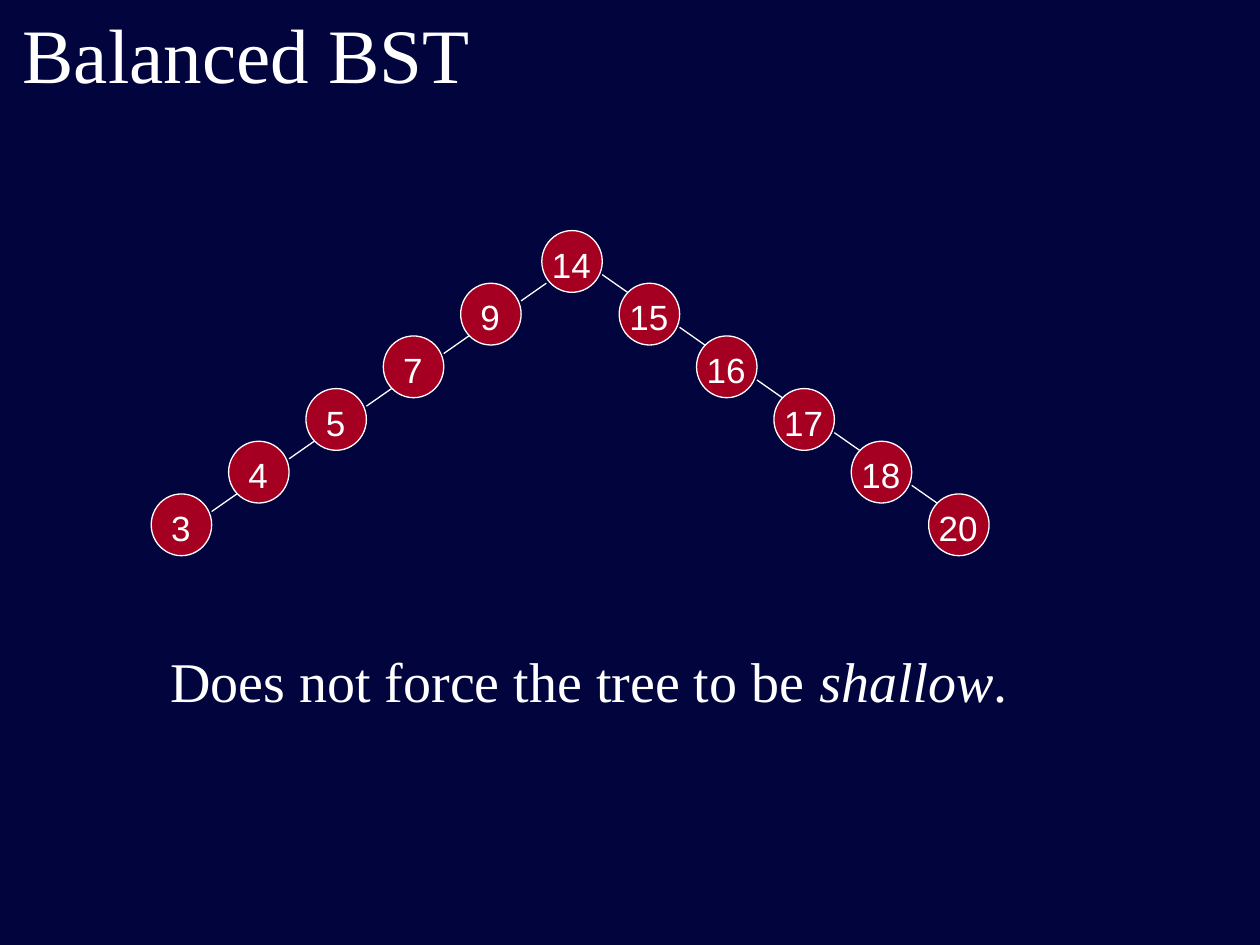
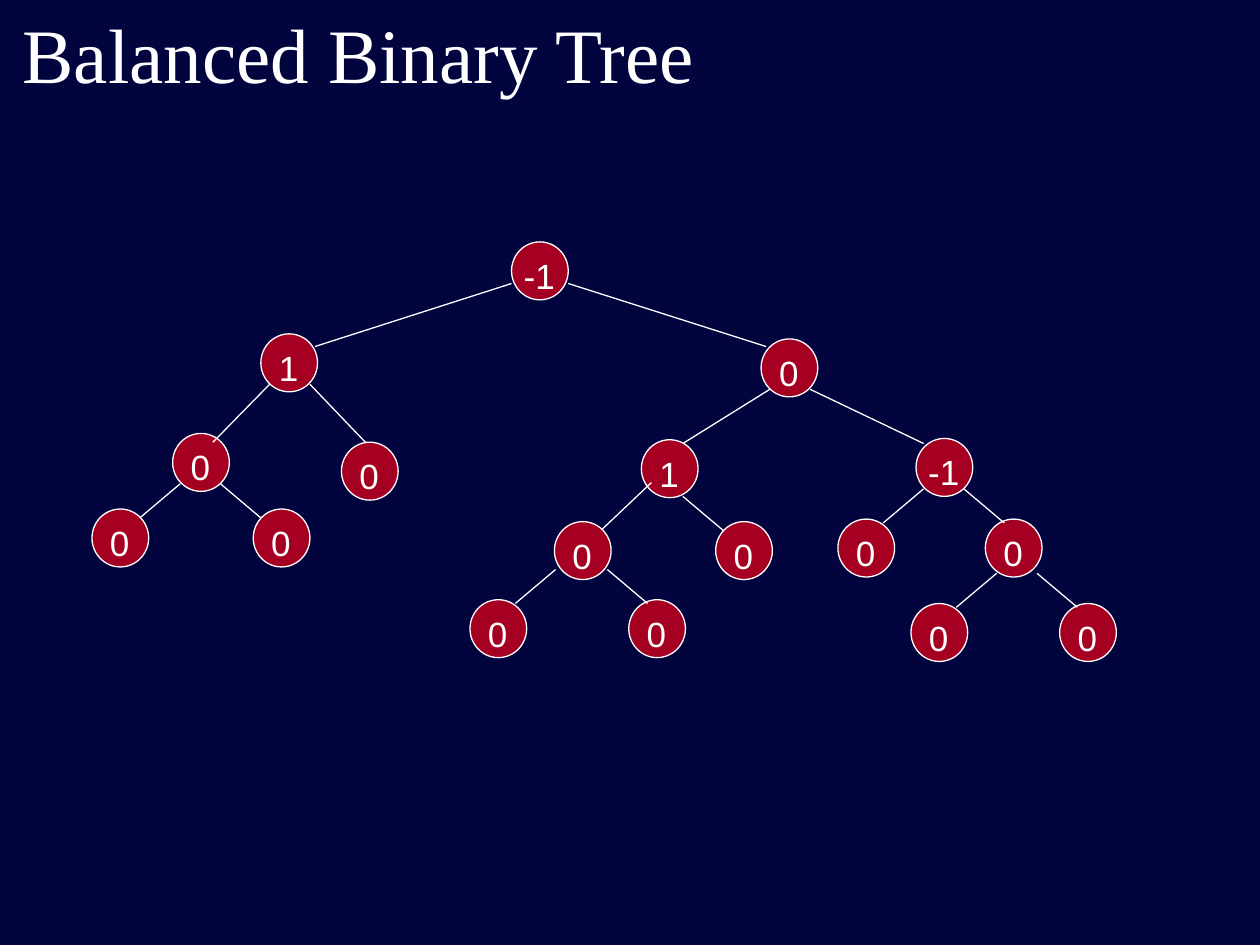
from dataclasses import dataclass
from itertools import chain

from lxml import etree
from pptx import Presentation
from pptx.dml.color import RGBColor
from pptx.enum.shapes import MSO_CONNECTOR, MSO_SHAPE
from pptx.enum.text import MSO_ANCHOR, MSO_AUTO_SIZE, PP_ALIGN
from pptx.oxml.ns import qn
from pptx.util import Inches, Pt


@dataclass(frozen=True)
class Theme:
    background: RGBColor = RGBColor(0x01, 0x04, 0x3D)
    node: RGBColor = RGBColor(0xA5, 0x00, 0x21)
    ink: RGBColor = RGBColor(0xFF, 0xFF, 0xFF)
    text_font: str = "Times New Roman"
    node_font: str = "Arial"
    title_size: int = 44
    body_size: int = 32
    node_size: int = 20
    line_width: float = 0.75


THEME = Theme()
TITLE_BOX = (0.08, -0.08, 9, 1)
REMARK_BOX = (1.25, 5.08, 9, 0.83)

# Chain slide: values from the root outwards on either side
CHAIN_BOX = (1.2, 1.83, 6.65, 2.58)
CHAIN_ROOT = "14"
LEFT_CHAIN = ("9", "7", "5", "4", "3")
RIGHT_CHAIN = ("15", "16", "17", "18", "20")

# Balance slide: value, left and top of each node, relative to the tree box
TREE_BOX = (0.73, 1.92, 8.13, 3.33)
BALANCE_NODES = (
    ("-1", 3.33, 0),
    ("1", 1.34, 0.73), ("0", 5.31, 0.77),
    ("0", 0.64, 1.52), ("0", 1.98, 1.59), ("1", 4.36, 1.57), ("-1", 6.54, 1.56),
    ("0", 0, 2.12), ("0", 1.28, 2.12), ("0", 3.67, 2.22), ("0", 4.95, 2.22),
    ("0", 5.92, 2.2), ("0", 7.09, 2.2),
    ("0", 3, 2.84), ("0", 4.26, 2.84), ("0", 6.5, 2.87), ("0", 7.68, 2.87),
)
# Long edges: start x, start y, end x, end y
LONG_EDGES = (
    (3.33, 0.33, 1.77, 0.83), (3.78, 0.33, 5.35, 0.83),
    (1.41, 1.13, 0.96, 1.59), (1.73, 1.13, 2.17, 1.59),
    (5.38, 1.17, 4.69, 1.6), (5.7, 1.17, 6.6, 1.6),
    (4.44, 1.91, 4.05, 2.28),
)
# Short edges all share one run and drop: start x, start y, direction
SHORT_RUN, SHORT_DROP = 0.32, 0.27
SHORT_EDGES = (
    (0.7, 1.92, -1), (1.02, 1.92, 1), (4.69, 2.02, 1),
    (6.6, 1.96, -1), (6.92, 1.96, 1),
    (3.68, 2.6, -1), (4.09, 2.6, 1),
    (7.18, 2.63, -1), (7.5, 2.63, 1),
)


def place(shape, box):
    shape.left, shape.top, shape.width, shape.height = map(Inches, box)


def style_font(font, name, size):
    font.name = name
    font.size = Pt(size)
    font.color.rgb = THEME.ink


def style_line(line):
    line.color.rgb = THEME.ink
    line.width = Pt(THEME.line_width)


def add_page(deck, layout_index, title):
    """Start a slide with the shared title style."""
    page = deck.slides.add_slide(deck.slide_layouts[layout_index])
    place(page.shapes.title, TITLE_BOX)
    frame = page.shapes.title.text_frame
    frame.text = title
    frame.auto_size = MSO_AUTO_SIZE.NONE
    frame.vertical_anchor = MSO_ANCHOR.MIDDLE
    para = frame.paragraphs[0]
    para.alignment = PP_ALIGN.LEFT
    style_font(para.runs[0].font, THEME.text_font, THEME.title_size)
    return page


def add_remark(page, box, pieces):
    """Fill the body placeholder; pieces are (text, italic) pairs."""
    body = page.placeholders[1]
    place(body, box)
    frame = body.text_frame
    frame.auto_size = MSO_AUTO_SIZE.NONE
    para = frame.paragraphs[0]
    properties = para._p.get_or_add_pPr()
    properties.set("marL", str(Inches(0.38)))
    properties.set("indent", str(Inches(-0.38)))
    etree.SubElement(properties, qn("a:buNone"))
    para.space_before = Pt(0)
    for text, italic in pieces:
        span = para.add_run()
        span.text = text
        style_font(span.font, THEME.text_font, THEME.body_size)
        span.font.italic = italic


def add_node(shapes, value, left, top, width, height):
    """Draw a tree node: a disc with its centred label."""
    disc = shapes.add_shape(MSO_SHAPE.OVAL, *map(Inches, (left, top, width, height)))
    disc.shadow.inherit = False
    disc.fill.solid()
    disc.fill.fore_color.rgb = THEME.node
    style_line(disc.line)

    label_box = (left - 0.07, top + 0.05, width + 0.13, 0.44)
    label = shapes.add_textbox(*map(Inches, label_box))
    frame = label.text_frame
    frame.word_wrap = True
    frame.text = value
    para = frame.paragraphs[0]
    para.alignment = PP_ALIGN.CENTER
    style_font(para.runs[0].font, THEME.node_font, THEME.node_size)


def add_edge(shapes, *ends):
    edge = shapes.add_connector(MSO_CONNECTOR.STRAIGHT, *map(Inches, ends))
    style_line(edge.line)
    etree.SubElement(edge._element.spPr, qn("a:effectLst"))


def add_chain_tree(page, box):
    """Draw the root with one straight chain of nodes on each side."""
    left, top, width, height = box
    node_width, node_height = 0.48, 0.49
    depth = len(RIGHT_CHAIN)
    root_left = left + 3.1
    step_x = (left + width - node_width - root_left) / depth
    step_y = (height - node_height) / depth
    shapes = page.shapes.add_group_shape().shapes

    # Nodes
    add_node(shapes, CHAIN_ROOT, root_left, top, node_width, node_height)
    for level, (smaller, larger) in enumerate(zip(LEFT_CHAIN, RIGHT_CHAIN), 1):
        node_top = top + level * step_y
        smaller_left = left + (depth - level) * step_x
        larger_left = root_left + level * step_x
        add_node(shapes, smaller, smaller_left, node_top, node_width, node_height)
        add_node(shapes, larger, larger_left, node_top, node_width, node_height)

        # Edges towards the level above
        edge_x = smaller_left + node_width
        add_edge(shapes, edge_x, node_top + 0.14, edge_x + 0.2, node_top)
        edge_x = larger_left - step_x + node_width
        edge_y = node_top - step_y + 0.35
        add_edge(shapes, edge_x, edge_y, edge_x + 0.2, edge_y + 0.14)


def add_balance_tree(page, box):
    """Draw the tree whose nodes show their balance factors."""
    left, top = box[:2]
    for value, x, y in BALANCE_NODES:
        group = page.shapes.add_group_shape()
        add_node(group.shapes, value, left + x, top + y, 0.45, 0.46)
    short_edges = ((x, y, x + way * SHORT_RUN, y + SHORT_DROP)
                   for x, y, way in SHORT_EDGES)
    for x1, y1, x2, y2 in chain(LONG_EDGES, short_edges):
        add_edge(page.shapes, left + x1, top + y1, left + x2, top + y2)


def main():
    deck = Presentation()
    deck.slide_width, deck.slide_height = Inches(10), Inches(7.5)
    backdrop = deck.slide_master.background.fill
    backdrop.solid()
    backdrop.fore_color.rgb = THEME.background

    # Slide 1: chains
    page = add_page(deck, 1, "Balanced BST")
    add_remark(page, REMARK_BOX, (
        ("Does not force the tree to be ", False), ("shallow", True), (".", False)))
    add_chain_tree(page, CHAIN_BOX)

    # Slide 2: balance factors
    page = add_page(deck, 5, "Balanced Binary Tree")
    add_balance_tree(page, TREE_BOX)

    deck.save("out.pptx")


if __name__ == "__main__":
    main()
